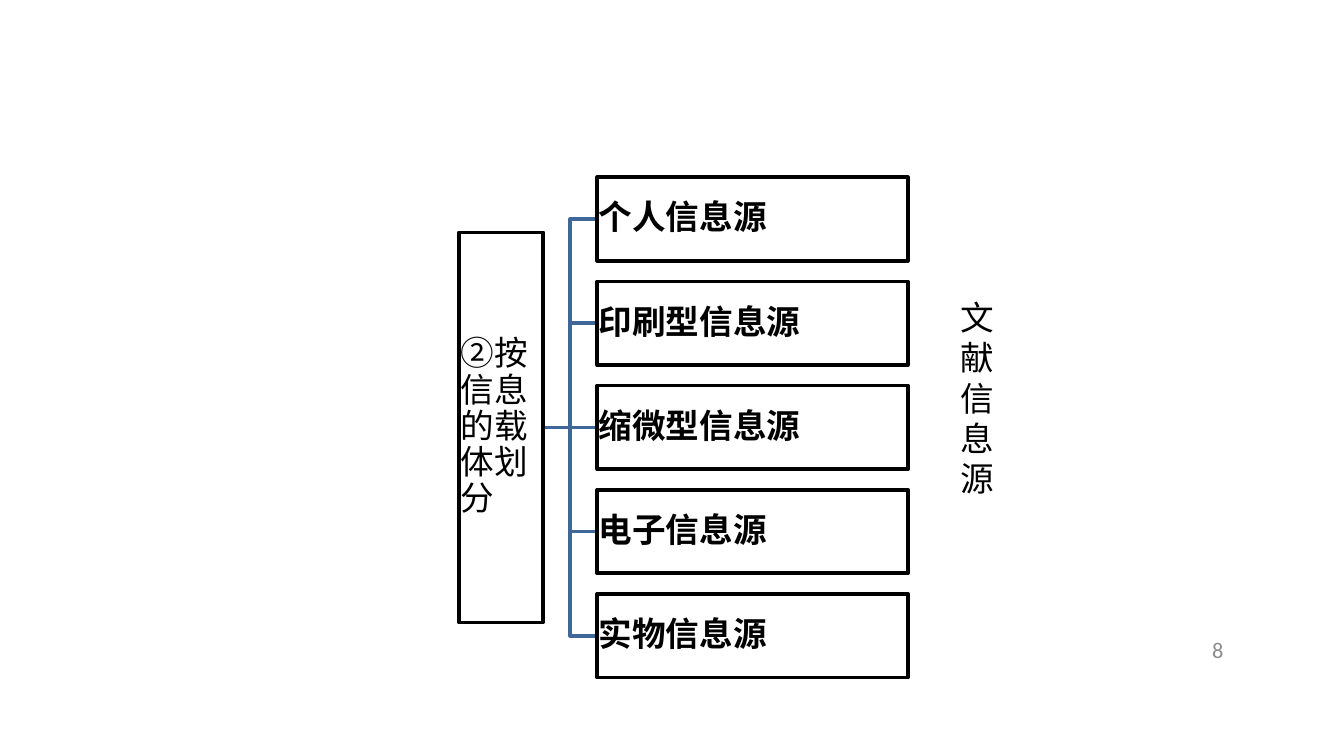
from lxml.etree import SubElement
from pptx import Presentation
from pptx.dml.color import RGBColor
from pptx.enum.shapes import MSO_CONNECTOR as Link, MSO_SHAPE as Shape
from pptx.enum.text import MSO_ANCHOR as Anchor, PP_ALIGN as Align
from pptx.oxml.ns import qn
from pptx.util import Pt


def paint(color, code):
    color.rgb = RGBColor.from_string(code)


def write(shape, text, size=18, code="000000", bold=False, align=Align.LEFT):
    frame = shape.text_frame
    frame.word_wrap = True
    frame.text = text
    para = frame.paragraphs[0]
    para.alignment = align
    font = para.runs[0].font
    font.name, font.size, font.bold = "Calibri", Pt(size), bold
    paint(font.color, code)
    return frame


deck = Presentation()
deck.slide_width, deck.slide_height = Pt(720), Pt(405)
slide = deck.slides.add_slide(deck.slide_layouts[6])
shapes = slide.shapes

top, step, high = 95, 55.8, 44.8
mid = top + 2 * step + high / 2
names = ["个人信息源", "印刷型信息源", "缩微型信息源", "电子信息源", "实物信息源"]
items = [("②按信息的载体划分", 246, mid - 104.5, 45, 209, False)]
for i, name in enumerate(names):
    items.append((name, 320, top + i * step, 166.4, high, True))

boxes = []
for text, x, y, w, h, bold in items:
    box = shapes.add_shape(Shape.RECTANGLE, Pt(x), Pt(y), Pt(w), Pt(h))
    box.shadow.inherit = False
    box.fill.solid()
    paint(box.fill.fore_color, "FFFFFF")
    paint(box.line.color, "000000")
    box.line.width = Pt(2)
    frame = write(box, text, bold=bold)
    frame.vertical_anchor = Anchor.MIDDLE
    frame.margin_left = frame.margin_right = Pt(0.8)
    frame.margin_top = frame.margin_bottom = Pt(0.8)
    frame.paragraphs[0].line_spacing = 0.9
    boxes.append(box)

root, *leaves = boxes
for i, leaf in enumerate(leaves):
    kind = Link.STRAIGHT if i == 2 else Link.ELBOW
    line = shapes.add_connector(kind, 0, 0, 0, 0)
    line.begin_connect(root, 3)
    line.end_connect(leaf, 1)
    paint(line.line.color, "3F6797")
    line.line.width = Pt(2)
    SubElement(line.element.spPr, qn("a:effectLst"))
    root.element.addprevious(line.element)

label = shapes.add_textbox(Pt(507.6), Pt(155.5), Pt(21), Pt(116.6))
write(label, "文献信息源")

page = shapes.add_textbox(Pt(584.6), Pt(340), Pt(78), Pt(16))
frame = write(page, "8", 12, "8C8C8C", align=Align.RIGHT)
frame.vertical_anchor = Anchor.MIDDLE

deck.save("out.pptx")
